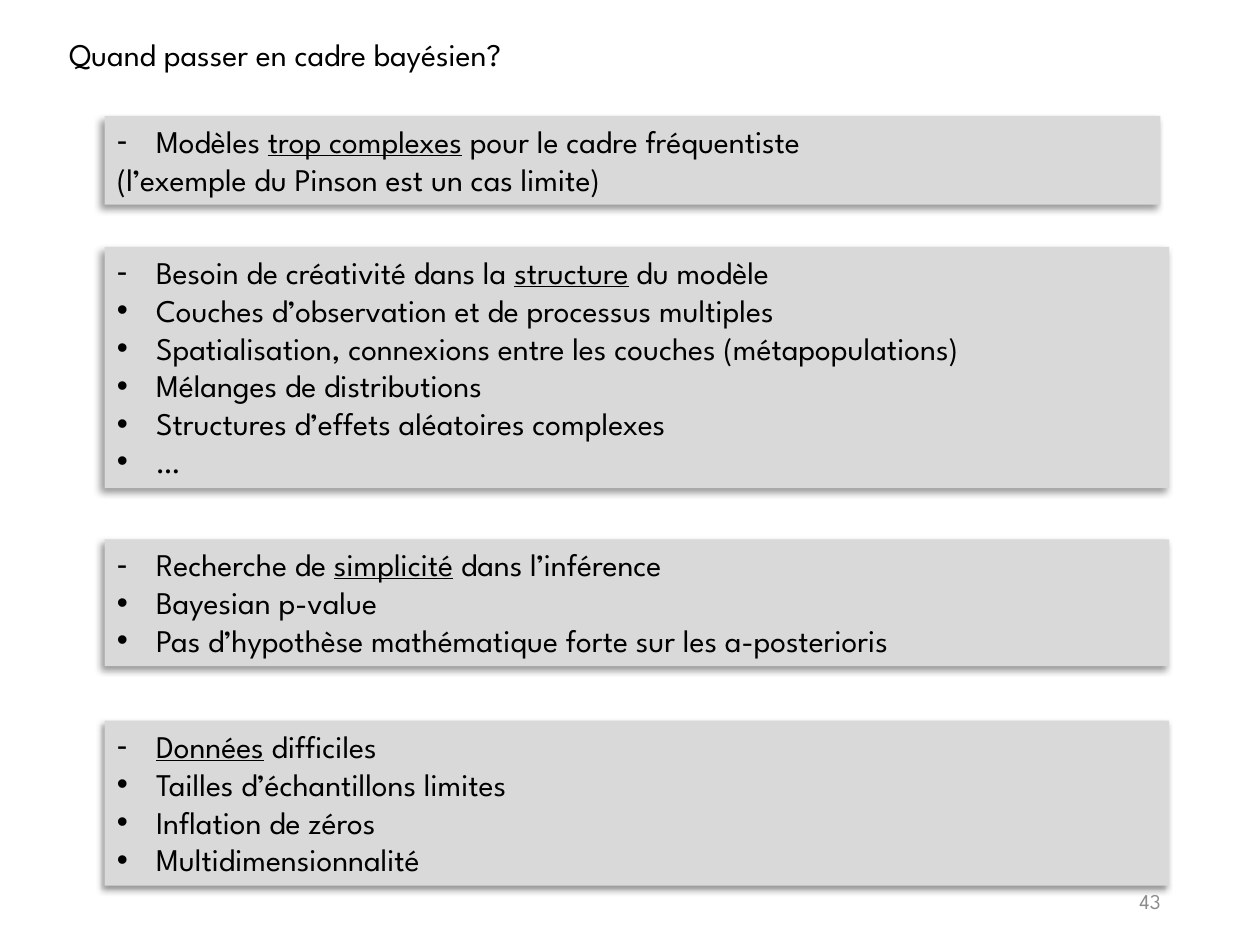
from lxml.etree import SubElement
from pptx import Presentation
from pptx.dml.color import RGBColor
from pptx.enum.shapes import MSO_SHAPE
from pptx.enum.text import MSO_ANCHOR, MSO_AUTO_SIZE, PP_ALIGN
from pptx.oxml.ns import qn
from pptx.util import Inches, Pt

BLACK = RGBColor(0x00, 0x00, 0x00)
GREY = RGBColor(0x8C, 0x8C, 0x8C)
PANEL = RGBColor(0xD9, 0xD9, 0xD9)
FONT = "League Spartan"
COLUMNS, ROWS = 100, 75
LINE_ROWS, PADDING_ROWS = 3.025, 1

REASONS = [
    (9.2, 83.8, [
        ("-", "Modèles _trop complexes_ pour le cadre fréquentiste"),
        (None, "(l’exemple du Pinson est un cas limite)"),
    ]),
    (19.6, 84.5, [
        ("-", "Besoin de créativité dans la _structure_ du modèle"),
        ("•", "Couches d’observation et de processus multiples"),
        ("•", "Spatialisation, connexions entre les couches (métapopulations)"),
        ("•", "Mélanges de distributions"),
        ("•", "Structures d’effets aléatoires complexes"),
        ("•", "…"),
    ]),
    (42.8, 84.5, [
        ("-", "Recherche de _simplicité_ dans l’inférence"),
        ("•", "Bayesian p-value"),
        ("•", "Pas d’hypothèse mathématique forte sur les a-posterioris"),
    ]),
    (57.2, 84.5, [
        ("-", "_Données_ difficiles"),
        ("•", "Tailles d’échantillons limites"),
        ("•", "Inflation de zéros"),
        ("•", "Multidimensionnalité"),
    ]),
]


def write_text(paragraph, text, size=18, color=BLACK, align=PP_ALIGN.LEFT, bullet=None):
    """Write text in a paragraph, underlining the parts between underscores."""
    paragraph.alignment = align
    for index, part in enumerate(text.split("_")):
        if part:
            run = paragraph.add_run()
            run.text = part
            run.font.name = FONT
            run.font.size = Pt(size)
            run.font.color.rgb = color
            run.font.underline = index % 2 == 1
    if bullet:
        properties = paragraph._p.get_or_add_pPr()
        properties.set("marL", str(Inches(0.31)))
        properties.set("indent", str(-Inches(0.31)))
        SubElement(properties, qn("a:buFont"), typeface="Arial")
        SubElement(properties, qn("a:buChar"), char=bullet)


class SlideBuilder:
    """Hold the grid, the style and the current slide."""

    def __init__(self, presentation):
        self.slide = presentation.slides.add_slide(presentation.slide_layouts[6])
        self.column = presentation.slide_width / COLUMNS
        self.row = presentation.slide_height / ROWS

    def place(self, left, top, width, height):
        """Turn grid units into slide lengths."""
        return (round(left * self.column), round(top * self.row),
                round(width * self.column), round(height * self.row))

    def add_label(self, text, *box, anchor=MSO_ANCHOR.TOP, **text_format):
        """Add one line of plain text."""
        frame = self.slide.shapes.add_textbox(*self.place(*box)).text_frame
        frame.word_wrap = True
        frame.vertical_anchor = anchor
        write_text(frame.paragraphs[0], text, **text_format)

    def add_panel(self, left, top, width, lines):
        """Add a shadowed panel as tall as its lines."""
        height = PADDING_ROWS + LINE_ROWS * len(lines)
        shape = self.slide.shapes.add_shape(
            MSO_SHAPE.RECTANGLE, *self.place(left, top, width, height))
        shape.fill.solid()
        shape.fill.fore_color.rgb = PANEL
        shape.line.fill.background()
        self.add_shadow(shape)
        frame = shape.text_frame
        frame.word_wrap = True
        frame.auto_size = MSO_AUTO_SIZE.SHAPE_TO_FIT_TEXT
        frame.vertical_anchor = MSO_ANCHOR.TOP
        for index, (bullet, text) in enumerate(lines):
            paragraph = frame.add_paragraph() if index else frame.paragraphs[0]
            write_text(paragraph, text, bullet=bullet)

    def add_shadow(self, shape):
        """Cast a soft shadow to the lower left."""
        shape.shadow.inherit = False
        effects = shape._element.spPr.find(qn("a:effectLst"))
        shadow = SubElement(effects, qn("a:outerShdw"), blurRad=str(Pt(4)),
                            dist=str(Pt(3)), dir=str(135 * 60000),
                            algn="tr", rotWithShape="0")
        color = SubElement(shadow, qn("a:srgbClr"), val=str(BLACK))
        SubElement(color, qn("a:alpha"), val="40000")


def main():
    """Build and save the slide."""
    presentation = Presentation()
    presentation.slide_width, presentation.slide_height = Inches(10), Inches(7.5)
    builder = SlideBuilder(presentation)
    builder.add_label("Quand passer en cadre bayésien?", 4.5, 2.3, 51.6, 4)
    for top, width, lines in REASONS:
        builder.add_panel(8.3, top, width, lines)
    builder.add_label("43", 70.6, 69.5, 22.5, 4, anchor=MSO_ANCHOR.MIDDLE,
                      size=12, color=GREY, align=PP_ALIGN.RIGHT)
    presentation.save("out.pptx")


if __name__ == "__main__":
    main()
